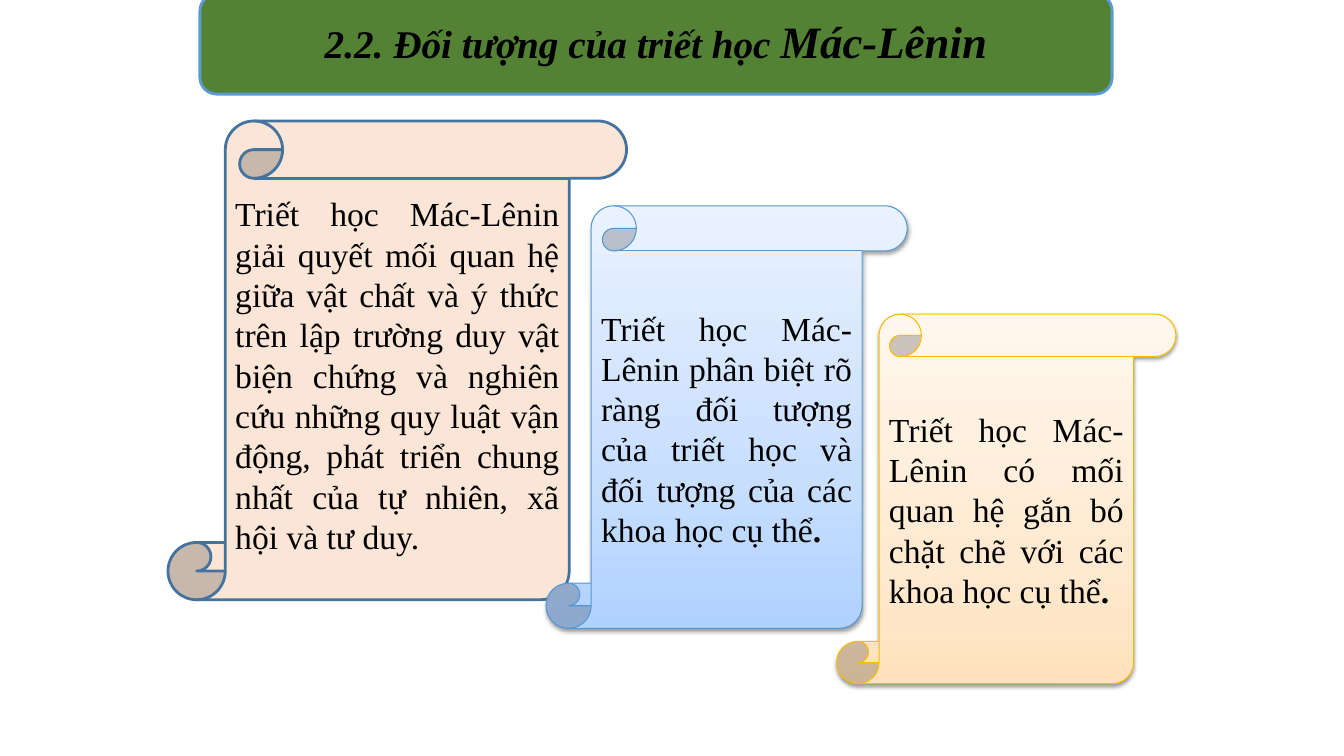
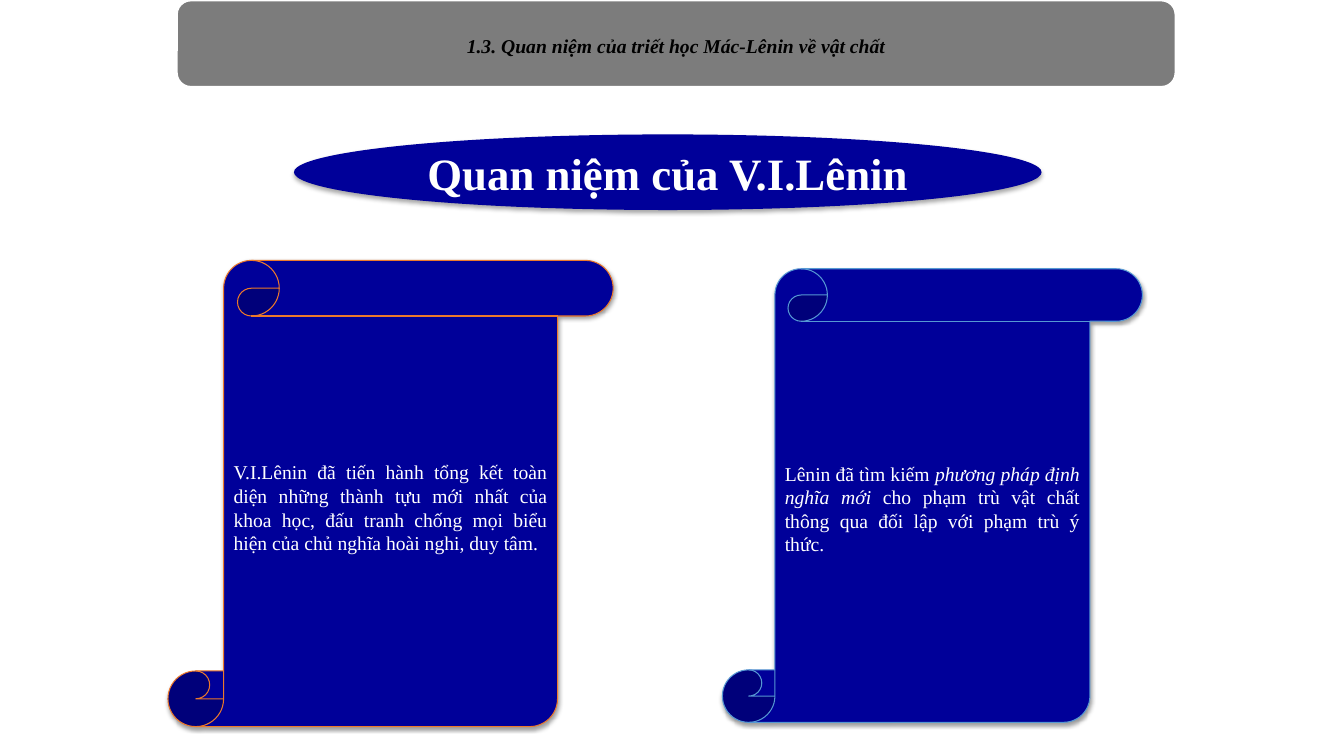
from copy import deepcopy

from lxml.etree import SubElement
from pptx import Presentation
from pptx.dml.color import RGBColor
from pptx.enum.shapes import MSO_SHAPE
from pptx.enum.text import MSO_ANCHOR, MSO_AUTO_SIZE, PP_ALIGN
from pptx.oxml.ns import qn
from pptx.util import Inches, Pt

FONT = "Times New Roman"
BLACK = RGBColor(0, 0, 0)
WHITE = RGBColor(255, 255, 255)
NAVY = RGBColor(0, 0, 0x99)
GREEN = RGBColor(0x54, 0x82, 0x35)
GRAY = RGBColor(0x7C, 0x7C, 0x7C)
PEACH = RGBColor(0xFB, 0xE5, 0xD6)
STEEL = RGBColor(0x43, 0x73, 0x9E)
SKY = RGBColor(0x5B, 0x9B, 0xD5)
BLUE = RGBColor(0x56, 0x98, 0xD3)
GOLD = RGBColor(0xF9, 0xBC, 0)
ORANGE = RGBColor(0xEC, 0x79, 0x2B)
ICE = (RGBColor(0xB0, 0xD2, 0xFF), RGBColor(0xC7, 0xDE, 0xFF), RGBColor(0xEA, 0xF2, 0xFF))
CREAM = (RGBColor(0xFF, 0xE2, 0xBD), RGBColor(0xFF, 0xEA, 0xD1), RGBColor(0xFF, 0xF7, 0xEE))
STOPS = (0, 0.35, 1)
COLS, ROWS = 160, 90


class Deck:
    def __init__(self):
        self.prs = Presentation()
        self.prs.slide_width = Inches(13.33)
        self.prs.slide_height = Inches(7.5)
        self.slide = None

    def add(self):
        self.slide = self.prs.slides.add_slide(self.prs.slide_layouts[5])

    def place(self, box):
        """Turn columns and rows into slide lengths."""
        col = self.prs.slide_width / COLS
        row = self.prs.slide_height / ROWS
        return [round(n * unit) for n, unit in zip(box, (col, row, col, row))]

    def shape(self, kind, box, fill, line=None, width=0.75, shadow=0):
        shape = self.slide.shapes.add_shape(kind, *self.place(box))
        if isinstance(fill, tuple) and not isinstance(fill, RGBColor):
            self.blend(shape, fill)
        else:
            shape.fill.solid()
            shape.fill.fore_color.rgb = fill
        if line is None:
            shape.line.fill.background()
        else:
            shape.line.color.rgb = line
            shape.line.width = Pt(width)
        shape.shadow.inherit = False
        if shadow:
            self.shade(shape, shadow)
        return shape

    def blend(self, shape, colors):
        """Fill with a gradient that runs from bottom to top."""
        shape.fill.gradient()
        shape.fill.gradient_angle = 90
        stops = shape._element.spPr.find(".//" + qn("a:gsLst"))
        stops.append(deepcopy(stops[0]))
        for stop, color, pos in zip(shape.fill.gradient_stops, colors, STOPS):
            stop.color.rgb = color
            stop.position = pos

    def shade(self, shape, alpha):
        """Cast a soft shadow straight down."""
        effects = shape._element.spPr.find(qn("a:effectLst"))
        outer = SubElement(effects, qn("a:outerShdw"), blurRad=str(Pt(3.1)),
                           dist=str(Pt(1.6)), dir="5400000", rotWithShape="0")
        color = SubElement(outer, qn("a:srgbClr"), val=str(BLACK))
        SubElement(color, qn("a:alpha"), val=str(alpha * 1000))

    def label(self, shape, runs, size, color, align, bold=None, italic=None):
        """Set one paragraph; each run is a text and its own font settings."""
        frame = shape.text_frame
        frame.word_wrap = True
        frame.auto_size = MSO_AUTO_SIZE.NONE
        frame.vertical_anchor = MSO_ANCHOR.MIDDLE
        para = frame.paragraphs[0]
        para.alignment = align
        font = para.font
        font.name, font.size, font.color.rgb = FONT, Pt(size), color
        font.bold, font.italic = bold, italic
        for text, style in runs:
            run = para.add_run()
            run.text = text
            for name, value in style.items():
                setattr(run.font, name, value)
        return para

    def title(self, box, fill, line, runs, size, drop=0):
        """Draw the band and lay the title on it, lowered by drop rows."""
        self.shape(MSO_SHAPE.ROUNDED_RECTANGLE, box, fill, line, 2)
        title = self.slide.shapes.title
        left, top, wide, high = box
        title.left, title.top, title.width, title.height = self.place(
            (left, top + drop, wide, high))
        para = self.label(title, runs, size, BLACK, PP_ALIGN.CENTER, True, True)
        para.line_spacing = 0.9
        self.slide.shapes._spTree.append(title._element)

    def scroll(self, box, fill, line, runs, size, color, width=0.75, shadow=38):
        shape = self.shape(MSO_SHAPE.VERTICAL_SCROLL, box, fill, line, width, shadow)
        self.label(shape, runs, size, color, PP_ALIGN.JUSTIFY)

    def oval(self, box, fill, text, size):
        shape = self.shape(MSO_SHAPE.OVAL, box, fill, shadow=35)
        self.label(shape, [(text, {})], size, WHITE, PP_ALIGN.CENTER, True)


def subject(deck):
    deck.add()
    stop = (".", {"bold": True})
    deck.scroll((20, 14.4, 54.6, 57), PEACH, STEEL, [
        ("Triết học Mác-Lênin giải quyết mối quan hệ giữa vật chất và ý thức "
         "trên lập trường duy vật biện chứng và nghiên cứu những quy luật vận "
         "động, phát triển chung nhất của tự nhiên, xã hội và tư duy.", {}),
    ], 24, BLACK, width=2, shadow=0)
    deck.scroll((65, 24.5, 43, 50.3), ICE, BLUE, [
        ("Triết học Mác-Lênin phân biệt rõ ràng đối tượng của triết học và "
         "đối tượng của các khoa học cụ thể", {}), stop,
    ], 24, BLACK)
    deck.scroll((99.6, 37.4, 40.4, 44), CREAM, GOLD, [
        ("Triết học Mác-Lênin có mối quan hệ gắn bó chặt chẽ với các khoa học "
         "cụ thể", {}), stop,
    ], 24, BLACK)
    deck.title((23.8, -0.7, 108.6, 11.9), GREEN, SKY, [
        ("2.2. Đối tượng của triết học ", {}),
        ("Mác-Lênin", {"size": Pt(32)}),
    ], 28)


def matter(deck):
    deck.add()
    deck.oval((35, 16, 89, 9), NAVY, "Quan niệm của V.I.Lênin", 32)
    deck.scroll((20, 31, 53, 55.5), NAVY, ORANGE, [
        ("V.I.Lênin đã tiến hành tổng kết toàn diện những thành tựu mới nhất "
         "của khoa học, đấu tranh chống mọi biểu hiện của chủ nghĩa hoài nghi, "
         "duy tâm.", {}),
    ], 14, WHITE)
    deck.scroll((86, 32, 50, 54), NAVY, BLUE, [
        ("Lênin đã tìm kiếm ", {}),
        ("phương pháp định nghĩa mới ", {"italic": True}),
        ("cho phạm trù vật chất thông qua đối lập với phạm trù ý thức.", {}),
    ], 14, WHITE)
    deck.title((21, 0, 119, 10.4), GRAY, WHITE, [
        ("1.3. Quan niệm của triết học Mác-Lênin về vật chất", {}),
    ], 14, drop=0.4)


def main():
    deck = Deck()
    subject(deck)
    matter(deck)
    deck.prs.save("out.pptx")


if __name__ == "__main__":
    main()
